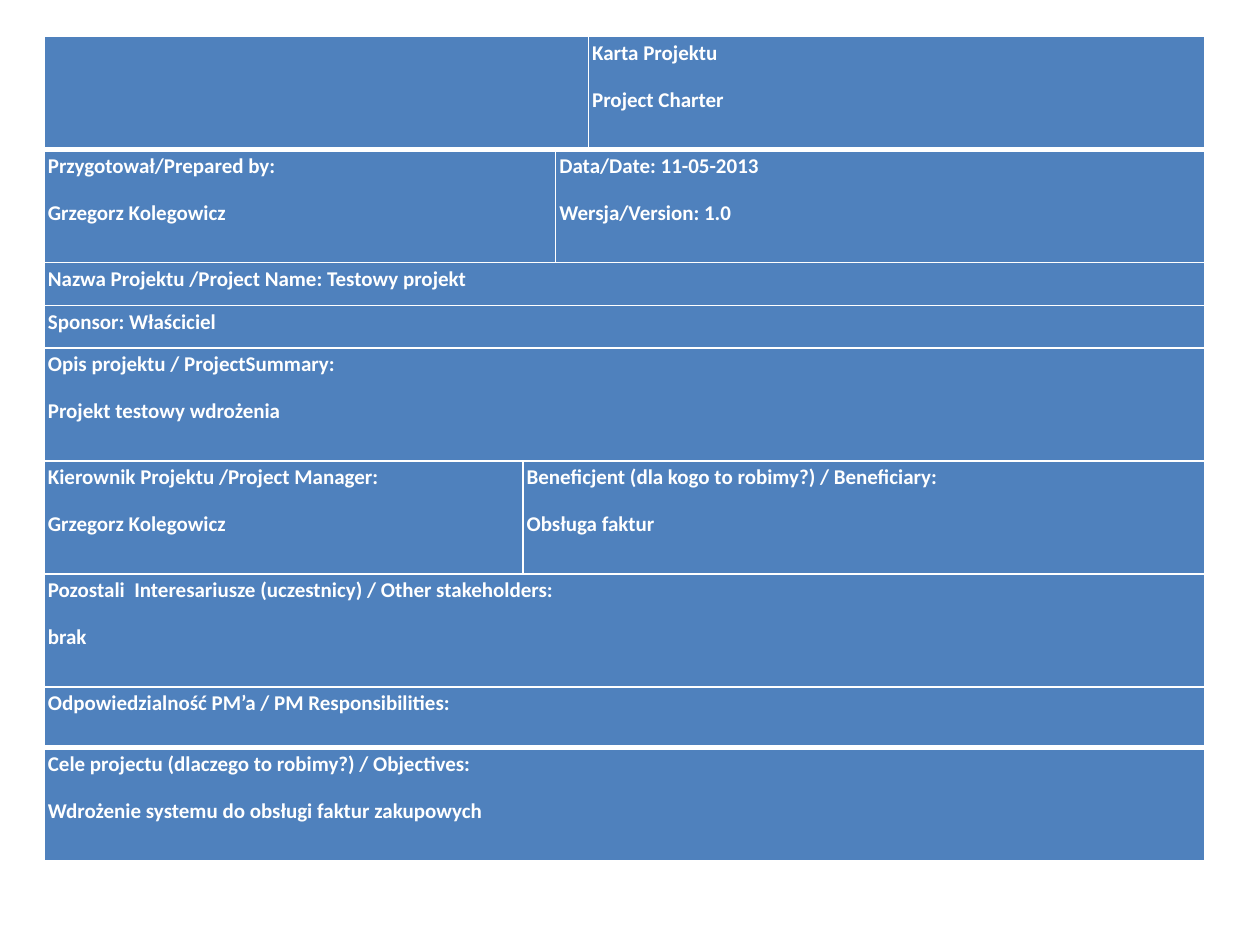
from lxml import etree
from pptx import Presentation
from pptx.dml.color import RGBColor
from pptx.oxml.ns import qn
from pptx.util import Inches, Pt

BLUE = RGBColor(0x4F, 0x81, 0xBD)
WHITE = RGBColor(0xFF, 0xFF, 0xFF)
FONT = "Calibri"
THIN, THICK = 1, 3

COLUMNS = [3.8, 0.26, 0.26, 4.89]
TALL, MEDIUM, SHORT = 0.9, 0.48, 0.34

# Each row: height, then its cells as (columns spanned, lines of text)
CHARTER = [
    (TALL, [(3, []), (1, ["Karta Projektu", "Project Charter"])]),
    (TALL, [(2, ["Przygotował/Prepared by:", "Grzegorz Kolegowicz"]),
            (2, ["Data/Date: 11-05-2013", "Wersja/Version: 1.0"])]),
    (SHORT, [(4, ["Nazwa Projektu /Project Name: Testowy projekt"])]),
    (SHORT, [(4, ["Sponsor: Właściciel"])]),
    (TALL, [(4, ["Opis projektu / ProjectSummary:", "Projekt testowy wdrożenia"])]),
    (TALL, [(1, ["Kierownik Projektu /Project Manager:", "Grzegorz Kolegowicz"]),
            (3, ["Beneficjent (dla kogo to robimy?) / Beneficiary:",
                 "Obsługa faktur"])]),
    (TALL, [(4, ["Pozostali  Interesariusze (uczestnicy) / Other stakeholders:",
                 "brak"])]),
    (MEDIUM, [(4, ["Odpowiedzialność PM’a / PM Responsibilities:"])]),
    (TALL, [(4, ["Cele projectu (dlaczego to robimy?) / Objectives:",
                 "Wdrożenie systemu do obsługi faktur zakupowych"])]),
]
# Thick rules lie below the heading row and above the objectives row
THICK_RULES = {1, len(CHARTER) - 1}


def add_border(cell, side, width):
    line = etree.SubElement(cell._tc.get_or_add_tcPr(), qn(f"a:ln{side}"),
                            w=str(Pt(width)))
    fill = etree.SubElement(line, qn("a:solidFill"))
    etree.SubElement(fill, qn("a:srgbClr"), val=str(WHITE))


def rule_width(rule):
    return THICK if rule in THICK_RULES else THIN


def style_cell(cell, row, is_first, is_last):
    """Fill one grid cell and rule the outer edges of its span."""
    if is_first:
        add_border(cell, "L", THIN)
    if is_last:
        add_border(cell, "R", THIN)
    add_border(cell, "T", rule_width(row))
    add_border(cell, "B", rule_width(row + 1))
    cell.fill.solid()
    cell.fill.fore_color.rgb = BLUE
    cell.margin_left = cell.margin_right = Inches(0.03)
    cell.margin_top = cell.margin_bottom = 0


def write_lines(cell, lines):
    frame = cell.text_frame
    frame.text = "\n".join(lines)
    for paragraph in frame.paragraphs:
        paragraph.line_spacing = 1.15
        paragraph.space_after = Pt(10)
        font = paragraph.font
        font.name, font.size, font.bold = FONT, Pt(12), True
        font.color.rgb = WHITE


def add_charter(slide, left, top, width, height):
    table = slide.shapes.add_table(len(CHARTER), len(COLUMNS),
                                   left, top, width, height).table
    table.first_row = table.horz_banding = False

    # Share the box out over columns and rows
    for column, share in zip(table.columns, COLUMNS):
        column.width = int(width * share / sum(COLUMNS))
    total_height = sum(row_height for row_height, _ in CHARTER)
    for row, (share, _) in zip(table.rows, CHARTER):
        row.height = int(height * share / total_height)

    # Entries, merged over the columns they span
    for row, (_, entries) in enumerate(CHARTER):
        start = 0
        for span, lines in entries:
            end = start + span - 1
            for column in range(start, end + 1):
                style_cell(table.cell(row, column), row,
                           column == start, column == end)
            entry = table.cell(row, start)
            if span > 1:
                entry.merge(table.cell(row, end))
            write_lines(entry, lines)
            start = end + 1


def main():
    prs = Presentation()
    prs.slide_width, prs.slide_height = Inches(10), Inches(7.5)
    slide = prs.slides.add_slide(prs.slide_layouts[6])
    add_charter(slide, Inches(0.35), Inches(0.29), Inches(9.21), Inches(6.54))
    prs.save("out.pptx")


if __name__ == "__main__":
    main()
